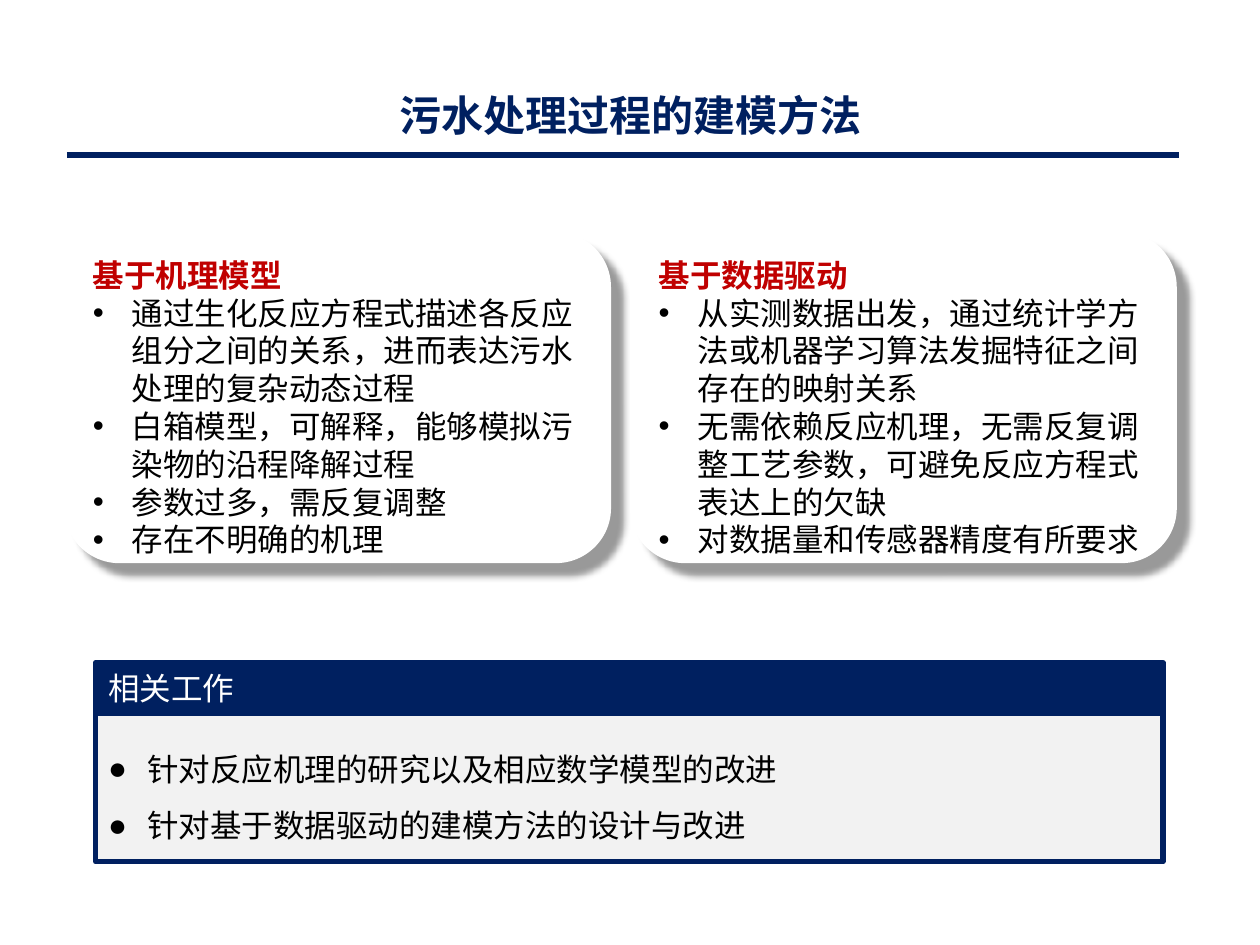
from lxml import etree
from pptx import Presentation
from pptx.dml.color import RGBColor
from pptx.enum.shapes import MSO_CONNECTOR, MSO_SHAPE
from pptx.enum.text import MSO_ANCHOR, MSO_AUTO_SIZE, PP_ALIGN
from pptx.oxml.ns import qn
from pptx.util import Inches, Pt

RECT, ROUND = MSO_SHAPE.RECTANGLE, MSO_SHAPE.ROUNDED_RECTANGLE
STRAIGHT = MSO_CONNECTOR.STRAIGHT
MIDDLE = MSO_ANCHOR.MIDDLE
FIT_SHAPE = MSO_AUTO_SIZE.SHAPE_TO_FIT_TEXT
LEFT, CENTER = PP_ALIGN.LEFT, PP_ALIGN.CENTER
CJK, LATIN = "Noto Sans CJK SC", "Arial"
NAVY, RED, BLACK, WHITE, GRAY = "002060", "C00000", "000000", "FFFFFF", "F2F2F2"
INDENT = Inches(0.31)

METHODS = [
    ("基于机理模型", [
        "通过生化反应方程式描述各反应组分之间的关系，进而表达污水处理的复杂动态过程",
        "白箱模型，可解释，能够模拟污染物的沿程降解过程",
        "参数过多，需反复调整",
        "存在不明确的机理",
    ]),
    ("基于数据驱动", [
        "从实测数据出发，通过统计学方法或机器学习算法发掘特征之间存在的映射关系",
        "无需依赖反应机理，无需反复调整工艺参数，可避免反应方程式表达上的欠缺",
        "对数据量和传感器精度有所要求",
    ]),
]
WORKS = ["针对反应机理的研究以及相应数学模型的改进", "针对基于数据驱动的建模方法的设计与改进"]


def rgb(color):
    """Turn a hex string into a colour."""
    return RGBColor.from_string(color)


def sub(parent, tag, **attrs):
    """Append a DrawingML element with the given attributes."""
    return etree.SubElement(parent, qn(tag), {k: str(v) for k, v in attrs.items()})


def add_text(tf, text, size=18, font=CJK, color=BLACK, bold=False,
             align=LEFT, spacing=None, bullet=None):
    """Write one formatted paragraph into a text frame."""
    p = tf.paragraphs[0]
    if p.runs:
        p = tf.add_paragraph()
    p.alignment = align
    if spacing:
        p.line_spacing = spacing
    if bullet:
        pPr = p._p.get_or_add_pPr()
        pPr.set("marL", str(INDENT))
        pPr.set("indent", str(-INDENT))
        sub(pPr, "a:buFont", typeface=LATIN)
        sub(pPr, "a:buChar", char=bullet)
    r = p.add_run()
    r.text = text
    r.font.size, r.font.name, r.font.bold = Pt(size), font, bold
    r.font.color.rgb = rgb(color)
    sub(r._r.get_or_add_rPr(), "a:ea", typeface=CJK)


def add_box(shapes, kind, x, y, w, h, fill, line=None):
    """Add a filled shape with vertically centred text."""
    sp = shapes.add_shape(kind, Inches(x), Inches(y), Inches(w), Inches(h))
    sp.shadow.inherit = False
    sp.fill.solid()
    sp.fill.fore_color.rgb = rgb(fill)
    if line:
        sp.line.color.rgb = rgb(line)
        sp.line.width = Pt(3)
    else:
        sp.line.fill.background()
    sp.text_frame.word_wrap = True
    sp.text_frame.vertical_anchor = MIDDLE
    return sp


def add_shadow(sp):
    """Give a shape a soft shadow to the lower right."""
    effects = sp._element.spPr.find(qn("a:effectLst"))
    shadow = sub(effects, "a:outerShdw", blurRad=Pt(4), dist=Pt(10),
                 dir=45 * 60000, algn="tl", rotWithShape=0)
    sub(sub(shadow, "a:srgbClr", val=BLACK), "a:alpha", val=40000)


def add_header(s, x, y, w, h):
    """Place the centred title above a rule at the foot of the box."""
    title_w, title_h = 3.92, 0.5
    tb = s.shapes.add_textbox(Inches(5 - title_w / 2), Inches(y),
                              Inches(title_w), Inches(title_h))
    tf = tb.text_frame
    tf.word_wrap = False
    tf.auto_size = FIT_SHAPE
    add_text(tf, "污水处理过程的建模方法", size=24, color=NAVY, bold=True, align=CENTER)
    rule = s.shapes.add_connector(STRAIGHT, Inches(x), Inches(y + h),
                                  Inches(x + w), Inches(y + h))
    rule.line.color.rgb = rgb(NAVY)
    rule.line.width = Pt(3)
    sub(rule._element.spPr, "a:effectLst")


def add_method(s, x, y, w, h, heading, points):
    """Place a rounded card with a heading and bullet points."""
    sp = add_box(s.shapes, ROUND, x, y, w, h, WHITE)
    add_shadow(sp)
    add_text(sp.text_frame, heading, font=LATIN, color=RED, bold=True, spacing=1.5)
    for point in points:
        add_text(sp.text_frame, point, bullet="•")


def add_related_work(s, x, y, w, h):
    """Place the related work panel with its header bar."""
    bar_h = 0.4
    shapes = s.shapes.add_group_shape().shapes
    body = add_box(shapes, RECT, x, y + bar_h, w, h - bar_h, GRAY, NAVY)
    for work in WORKS:
        add_text(body.text_frame, work, font=LATIN, spacing=1.5, bullet="●")
    bar = add_box(shapes, RECT, x, y, w, bar_h, NAVY, NAVY)
    add_text(bar.text_frame, "相关工作", color=WHITE)


def main():
    """Build and save the slide."""
    prs = Presentation()
    prs.slide_width, prs.slide_height = Inches(10), Inches(7.5)
    s = prs.slides.add_slide(prs.slide_layouts[6])
    add_header(s, 0.53, 0.66, 8.83, 0.57)
    for i, (heading, points) in enumerate(METHODS):
        add_method(s, 0.51 + i * 4.49, 1.84, 4.34, 2.63, heading, points)
    add_related_work(s, 0.76, 5.26, 8.47, 1.58)
    prs.save("out.pptx")


if __name__ == "__main__":
    main()
